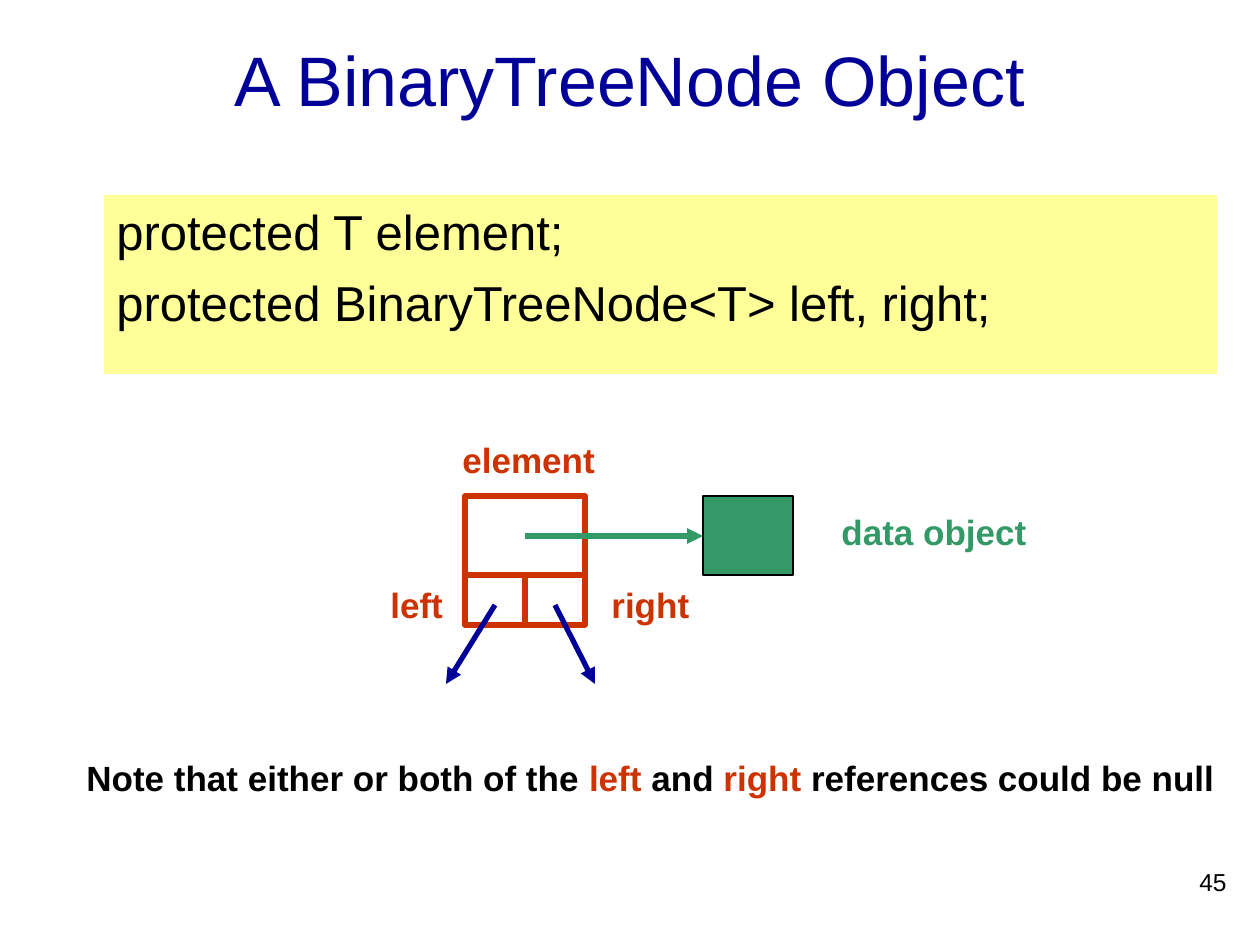
from dataclasses import dataclass

from lxml.etree import SubElement
from pptx import Presentation
from pptx.dml.color import RGBColor
from pptx.enum.shapes import MSO_CONNECTOR as Connector, MSO_SHAPE as Shape
from pptx.enum.text import MSO_ANCHOR as Anchor, PP_ALIGN as Align
from pptx.oxml.ns import qn
from pptx.slide import Slide
from pptx.util import Emu, Pt

BLUE = RGBColor(0x00, 0x00, 0x99)
YELLOW = RGBColor(0xFF, 0xFF, 0x99)
RED = RGBColor(0xCC, 0x33, 0x00)
GREEN = RGBColor(0x33, 0x99, 0x66)
BLACK = RGBColor(0x00, 0x00, 0x00)


def px(*lengths):
    return [Emu(round(length * 914400 / 126)) for length in lengths]


@dataclass
class NodeSlide:
    """Style and drawing methods for the tree node slide."""

    slide: Slide
    font_name: str = "Arial"
    thick: int = 3

    def format_runs(self, paragraph, size, color, bold=False):
        for run in paragraph.runs:
            run.font.name = self.font_name
            run.font.size = Pt(size)
            run.font.bold = bold
            run.font.color.rgb = color

    def text(self, box, content, size, color, bold=False, align=Align.LEFT,
             anchor=Anchor.TOP, gap=0):
        shape = self.slide.shapes.add_textbox(*px(*box))
        frame = shape.text_frame
        frame.word_wrap = True
        frame.vertical_anchor = anchor
        frame.text = content
        for index, paragraph in enumerate(frame.paragraphs):
            paragraph.alignment = align
            if index:
                paragraph.space_before = Pt(gap)
            self.format_runs(paragraph, size, color, bold)
        return shape

    def label(self, box, content, color):
        return self.text(box, content, 20, color, bold=True)

    def note(self, box, parts):
        paragraph = self.label(box, "", BLACK).text_frame.paragraphs[0]
        for content, _ in parts:
            paragraph.add_run().text = content
        self.format_runs(paragraph, 20, BLACK, bold=True)
        for run, (_, color) in zip(paragraph.runs, parts):
            run.font.color.rgb = color

    def code(self, box, content):
        shape = self.text(box, content, 28, BLACK, gap=7)
        shape.fill.solid()
        shape.fill.fore_color.rgb = YELLOW

    def rectangle(self, box, line, width, fill=None):
        shape = self.slide.shapes.add_shape(Shape.RECTANGLE, *px(*box))
        shape.shadow.inherit = False
        shape.line.color.rgb = line
        shape.line.width = Pt(width)
        if fill is None:
            shape.fill.background()
        else:
            shape.fill.solid()
            shape.fill.fore_color.rgb = fill

    def arrow(self, start, end, color):
        connector = self.slide.shapes.add_connector(
            Connector.STRAIGHT, *px(*start, *end))
        connector.line.color.rgb = color
        connector.line.width = Pt(self.thick)
        SubElement(connector.line._get_or_add_ln(), qn("a:tailEnd"), type="triangle")
        SubElement(connector._element.spPr, qn("a:effectLst"))


def main():
    presentation = Presentation()
    presentation.slide_width, presentation.slide_height = px(1260, 945)
    page = NodeSlide(presentation.slides.add_slide(presentation.slide_layouts[6]))

    page.text((94, 21, 1071, 116), "A BinaryTreeNode Object", 40, BLUE,
              align=Align.CENTER, anchor=Anchor.MIDDLE)
    page.code((104, 195, 1113, 179),
              "protected T element;\nprotected BinaryTreeNode<T> left, right;")

    left, top, cell_width, cell_height, element_height = 465, 496, 60, 50, 79
    middle, cell_top = left + cell_width, top + element_height
    for cell_left in (left, middle):
        page.rectangle((cell_left, cell_top, cell_width, cell_height), RED, page.thick)
    page.rectangle((left, top, 2 * cell_width, element_height), RED, page.thick)
    page.rectangle((703, top, 90, element_height), BLACK, 1, GREEN)

    page.arrow((middle, 536), (703, 536), GREEN)
    for start_x, end_x in ((495, 446), (555, 595)):
        page.arrow((start_x, 605), (end_x, 684), BLUE)

    for box, content, color in (
        ((450, 432, 170, 55), "element", RED),
        ((829, 504, 286, 55), "data object", GREEN),
        ((378, 577, 80, 55), "left", RED),
        ((599, 577, 106, 55), "right", RED),
    ):
        page.label(box, content, color)

    page.note((74, 750, 1160, 55), (
        ("Note that either or both of the ", BLACK),
        ("left ", RED),
        ("and ", BLACK),
        ("right", RED),
        (" references could be null", BLACK),
    ))
    page.text((977, 861, 262, 63), "45", 14, BLACK, align=Align.RIGHT)

    presentation.save("out.pptx")


if __name__ == "__main__":
    main()
